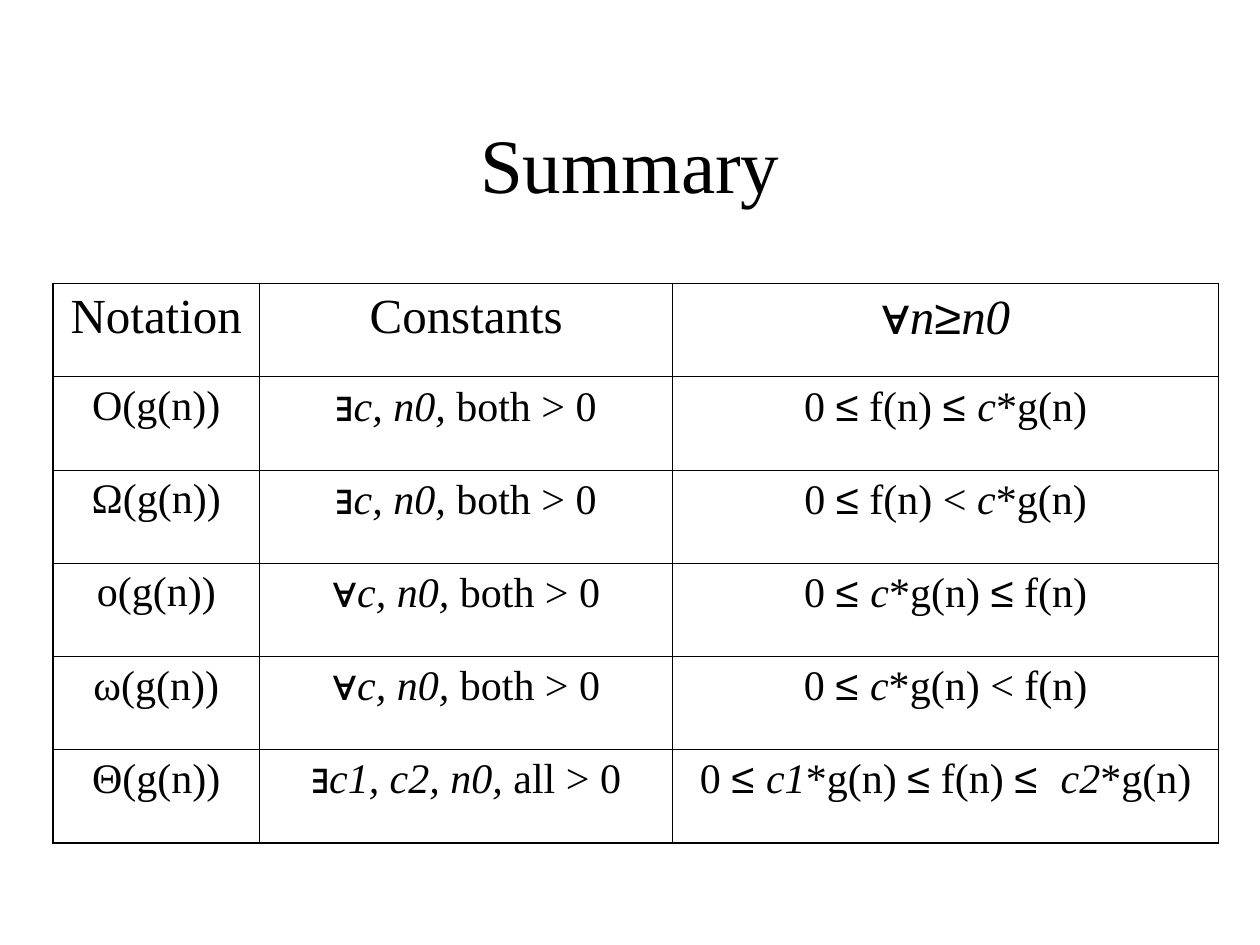
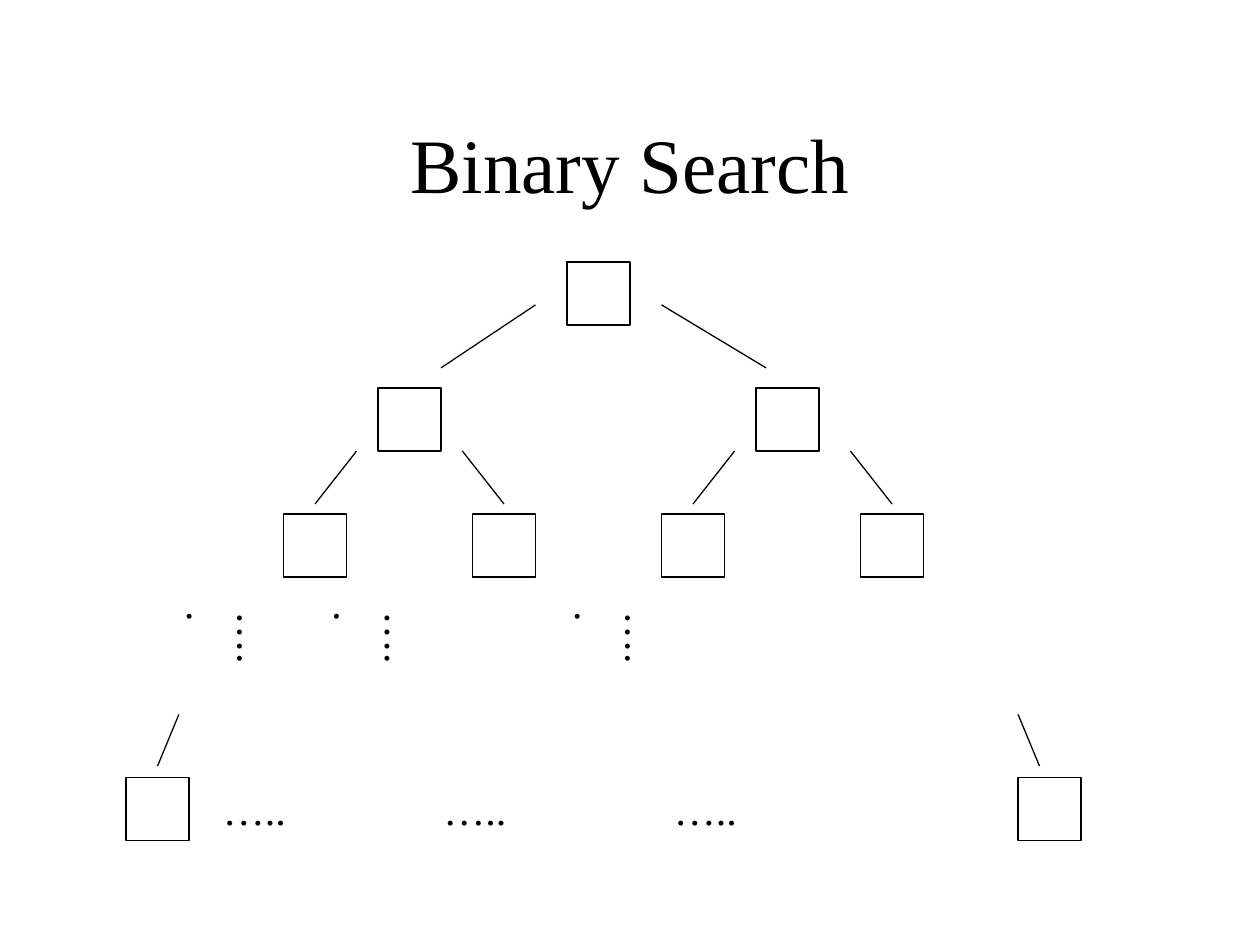
from lxml.etree import SubElement
from pptx import Presentation
from pptx.dml.color import RGBColor
from pptx.enum.shapes import MSO_CONNECTOR, MSO_SHAPE
from pptx.enum.text import MSO_ANCHOR, MSO_AUTO_SIZE, PP_ALIGN
from pptx.oxml.ns import qn
from pptx.util import Inches, Pt

INK = "000000"
SERIF = "Times New Roman"
SYMBOL = "Arial"
OUTER_BORDER = 1.08
INNER_BORDER = 0.45
TREE_LINE = 0.75
NODE_SIZE = 0.5

COLUMN_WIDTHS = [1.64, 3.28, 4.33]
ROW_HEIGHT = 0.74

NODE_ROWS = [
    (2.08, [4.5]),
    (3.08, [3, 6]),
    (4.08, [2.25, 3.75, 5.25, 6.83]),
    (6.17, [1, 8.08]),
]
BRANCHES = [
    (4.25, 2.42, 3.5, 2.92),
    (5.25, 2.42, 6.08, 2.92),
    (2.83, 3.58, 2.5, 4),
    (3.67, 3.58, 4, 4),
    (5.83, 3.58, 5.5, 4),
    (6.75, 3.58, 7.08, 4),
    (1.42, 5.67, 1.25, 6.08),
    (8.08, 5.67, 8.25, 6.08),
]
LEAF_DOTS = [1.67, 3.42, 5.25]
LEVEL_DOTS = [1.67, 2.84, 4.75]


def color(hex_code):
    """Return the colour for a hex string."""
    return RGBColor.from_string(hex_code)


def plain(text):
    """Describe an upright serif run."""
    return text, SERIF, False


def var(text):
    """Describe an italic run for variables."""
    return text, SERIF, True


def sym(text):
    """Describe a run of mathematical symbols."""
    return text, SYMBOL, False


def bound_constants(quantifier, names, condition):
    """Describe the constants a notation quantifies over."""
    return [sym(quantifier), var(names + ", "), plain(condition)]


SUMMARY_ROWS = [
    [[plain("Notation")], [plain("Constants")],
     [sym("∀"), var("n"), sym("≥"), var("n0")]],
    [[plain("Ο(g(n))")], bound_constants("∃", "c, n0", "both > 0"),
     [plain("0 "), sym("≤"), plain(" f(n) "), sym("≤ "), var("c"), plain("*g(n)")]],
    [[plain("Ω(g(n))")], bound_constants("∃", "c, n0", "both > 0"),
     [plain("0 "), sym("≤"), plain(" f(n) < "), var("c"), plain("*g(n)")]],
    [[plain("ο(g(n))")], bound_constants("∀", "c, n0", "both > 0"),
     [plain("0 "), sym("≤ "), var("c"), plain("*g(n) "), sym("≤"), plain(" f(n)")]],
    [[plain("ω(g(n))")], bound_constants("∀", "c, n0", "both > 0"),
     [plain("0 "), sym("≤ "), var("c"), plain("*g(n) < f(n)")]],
    [[plain("Θ(g(n))")], bound_constants("∃", "c1, c2, n0", "all > 0"),
     [plain("0 "), sym("≤ "), var("c1"), plain("*g(n) "), sym("≤"), plain(" f(n) "),
      sym("≤  "), var("c2"), plain("*g(n)")]],
]


def write_runs(frame, runs, size, align=PP_ALIGN.CENTER):
    """Fill the first paragraph of a frame run by run."""
    paragraph = frame.paragraphs[0]
    paragraph.alignment = align
    for text, face, italic in runs:
        run = paragraph.add_run()
        run.text = text
        run.font.name = face
        run.font.size = Pt(size)
        run.font.italic = italic
        run.font.color.rgb = color(INK)


def add_titled_slide(deck, heading):
    """Add a slide with the shared title style."""
    slide = deck.slides.add_slide(deck.slide_layouts[5])
    title = slide.shapes.title
    title.left, title.top = Inches(0.75), Inches(0.67)
    title.width, title.height = Inches(8.5), Inches(1.25)
    title.text_frame.vertical_anchor = MSO_ANCHOR.MIDDLE
    write_runs(title.text_frame, [plain(heading)], 44)
    return slide


def set_border(cell, side, width):
    """Draw one border of a table cell."""
    properties = cell._tc.get_or_add_tcPr()
    border = SubElement(properties, qn(f"a:ln{side}"), w=str(Pt(width)))
    fill = SubElement(border, qn("a:solidFill"))
    SubElement(fill, qn("a:srgbClr"), val=INK)


def add_summary_table(slide, rows):
    """Add the ruled table of notations."""
    row_count, column_count = len(rows), len(COLUMN_WIDTHS)
    table = slide.shapes.add_table(
        row_count, column_count, Inches(0.42), Inches(2.25),
        Inches(sum(COLUMN_WIDTHS)), Inches(ROW_HEIGHT * row_count)).table
    table.first_row = table.horz_banding = False
    for column, width in zip(table.columns, COLUMN_WIDTHS):
        column.width = Inches(width)
    for r, entries in enumerate(rows):
        table.rows[r].height = Inches(ROW_HEIGHT)
        for c, runs in enumerate(entries):
            cell = table.cell(r, c)
            outer_sides = {"L": c == 0, "R": c == column_count - 1,
                           "T": r == 0, "B": r == row_count - 1}
            for side, is_outer in outer_sides.items():
                set_border(cell, side, OUTER_BORDER if is_outer else INNER_BORDER)
            cell.fill.background()
            write_runs(cell.text_frame, runs, 28 if r == 0 else 24)


def style_line(line):
    """Apply the thin line of the tree."""
    line.color.rgb = color(INK)
    line.width = Pt(TREE_LINE)


def add_node(slide, left, top):
    """Add an empty square tree node."""
    node = slide.shapes.add_shape(
        MSO_SHAPE.RECTANGLE, Inches(left), Inches(top),
        Inches(NODE_SIZE), Inches(NODE_SIZE))
    node.shadow.inherit = False
    node.fill.background()
    style_line(node.line)


def add_branch(slide, *ends):
    """Add a line between two tree levels."""
    branch = slide.shapes.add_connector(
        MSO_CONNECTOR.STRAIGHT, *(Inches(end) for end in ends))
    style_line(branch.line)
    SubElement(branch.element.spPr, qn("a:effectLst"))


def add_dots(slide, left, top, width, height, vertical=False):
    """Add an ellipsis for omitted nodes, running across or down."""
    dots = slide.shapes.add_textbox(
        Inches(left), Inches(top), Inches(width), Inches(height))
    frame = dots.text_frame
    frame.word_wrap = True
    frame.auto_size = MSO_AUTO_SIZE.SHAPE_TO_FIT_TEXT
    if vertical:
        frame.margin_left = frame.margin_right = Inches(0.05)
        frame.margin_top = frame.margin_bottom = Inches(0.1)
        dots.element.txBody.find(qn("a:bodyPr")).set("vert", "eaVert")
    write_runs(frame, [plain("…..")], 24, PP_ALIGN.LEFT)


def add_search_tree(slide):
    """Add the nodes, branches and ellipses of the search tree."""
    for top, lefts in NODE_ROWS:
        for left in lefts:
            add_node(slide, left, top)
    for ends in BRANCHES:
        add_branch(slide, *ends)
    for left in LEAF_DOTS:
        add_dots(slide, left, 6.17, 1, 0.5)
    for left in LEVEL_DOTS:
        add_dots(slide, left, 4.75, 0.6, 0.67, vertical=True)


def main():
    """Build and save the two slides."""
    deck = Presentation()
    deck.slide_width, deck.slide_height = Inches(10), Inches(7.5)
    add_summary_table(add_titled_slide(deck, "Summary"), SUMMARY_ROWS)
    add_search_tree(add_titled_slide(deck, "Binary Search"))
    deck.save("out.pptx")


if __name__ == "__main__":
    main()
